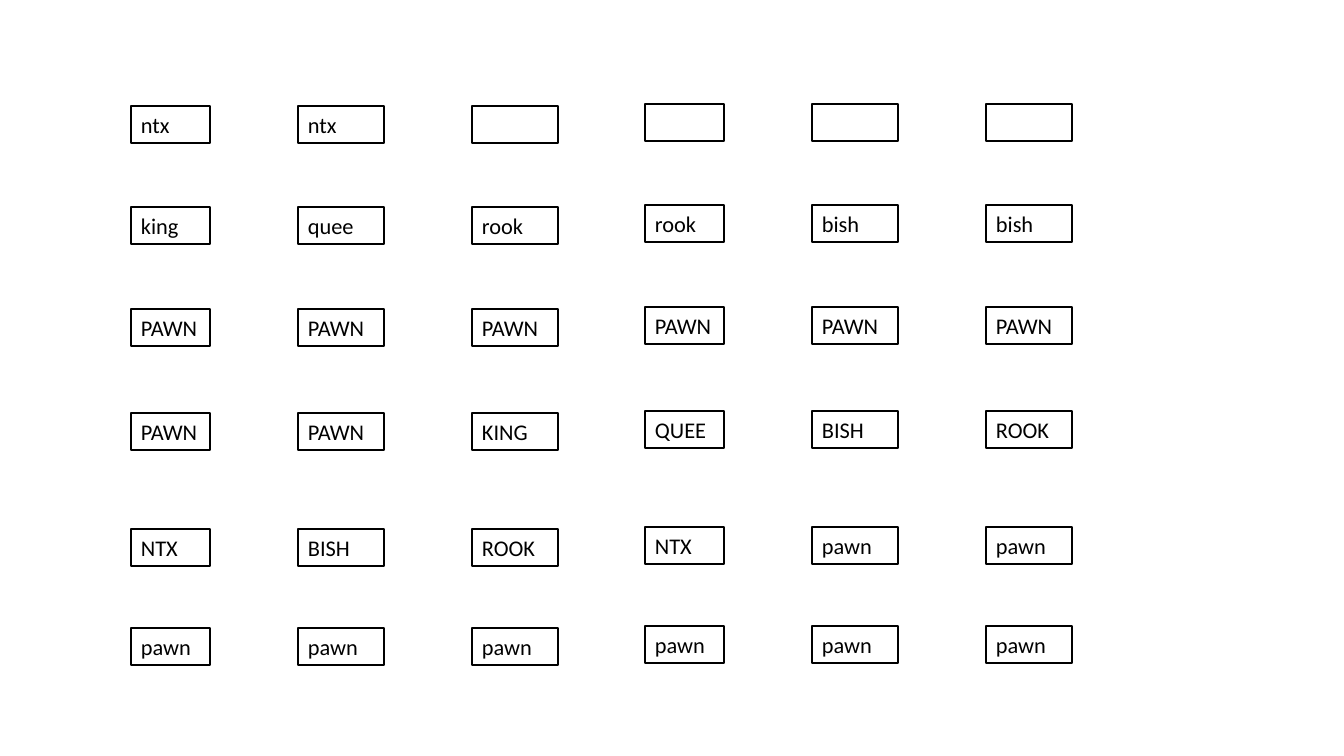
"""Build a six-by-six board of labelled chess-piece boxes."""
from pptx import Presentation
from pptx.dml.color import RGBColor
from pptx.enum.text import MSO_AUTO_SIZE as AutoSize
from pptx.util import Pt

BOARD = [
    ["ntx", "ntx", "", "", "", ""],
    ["king", "quee", "rook", "rook", "bish", "bish"],
    ["PAWN", "PAWN", "PAWN", "PAWN", "PAWN", "PAWN"],
    ["PAWN", "PAWN", "KING", "QUEE", "BISH", "ROOK"],
    ["NTX", "BISH", "ROOK", "NTX", "pawn", "pawn"],
    ["pawn", "pawn", "pawn", "pawn", "pawn", "pawn"],
]
ROW_TOPS = [106, 207, 309, 413, 529, 628]
HALF_COLUMNS = [(131, 79), (298, 86), (472, 86)]
HALF_SHIFT, HALF_RISE = 514, 2
BOX_HEIGHT = 37

BLACK = RGBColor(0, 0, 0)
WHITE = RGBColor(255, 255, 255)
SLIDE_WIDTH, SLIDE_HEIGHT = 1344, 756
EMU_PER_PIXEL = 12192000 / SLIDE_WIDTH


def px(pixels):
    """Convert pixels to EMU."""
    return round(pixels * EMU_PER_PIXEL)


def add_piece(slide, piece, left, top, width):
    """Draw one outlined box holding a piece label."""
    box = slide.shapes.add_textbox(px(left), px(top), px(width), px(BOX_HEIGHT))
    box.fill.solid()
    box.fill.fore_color.rgb = WHITE
    box.line.color.rgb = BLACK
    box.line.width = Pt(1)
    frame = box.text_frame
    frame.word_wrap = True
    if piece:
        frame.auto_size = AutoSize.SHAPE_TO_FIT_TEXT
        frame.text = piece
        font = frame.paragraphs[0].runs[0].font
        font.name, font.size = "Calibri", Pt(16)
        font.color.rgb = BLACK


deck = Presentation()
deck.slide_width, deck.slide_height = px(SLIDE_WIDTH), px(SLIDE_HEIGHT)
board_slide = deck.slides.add_slide(deck.slide_layouts[6])

for row_top, pieces in zip(ROW_TOPS, BOARD):
    for column, piece in enumerate(pieces):
        half, place = divmod(column, len(HALF_COLUMNS))
        left, width = HALF_COLUMNS[place]
        add_piece(board_slide, piece, left + half * HALF_SHIFT,
                  row_top - half * HALF_RISE, width)

deck.save("out.pptx")
